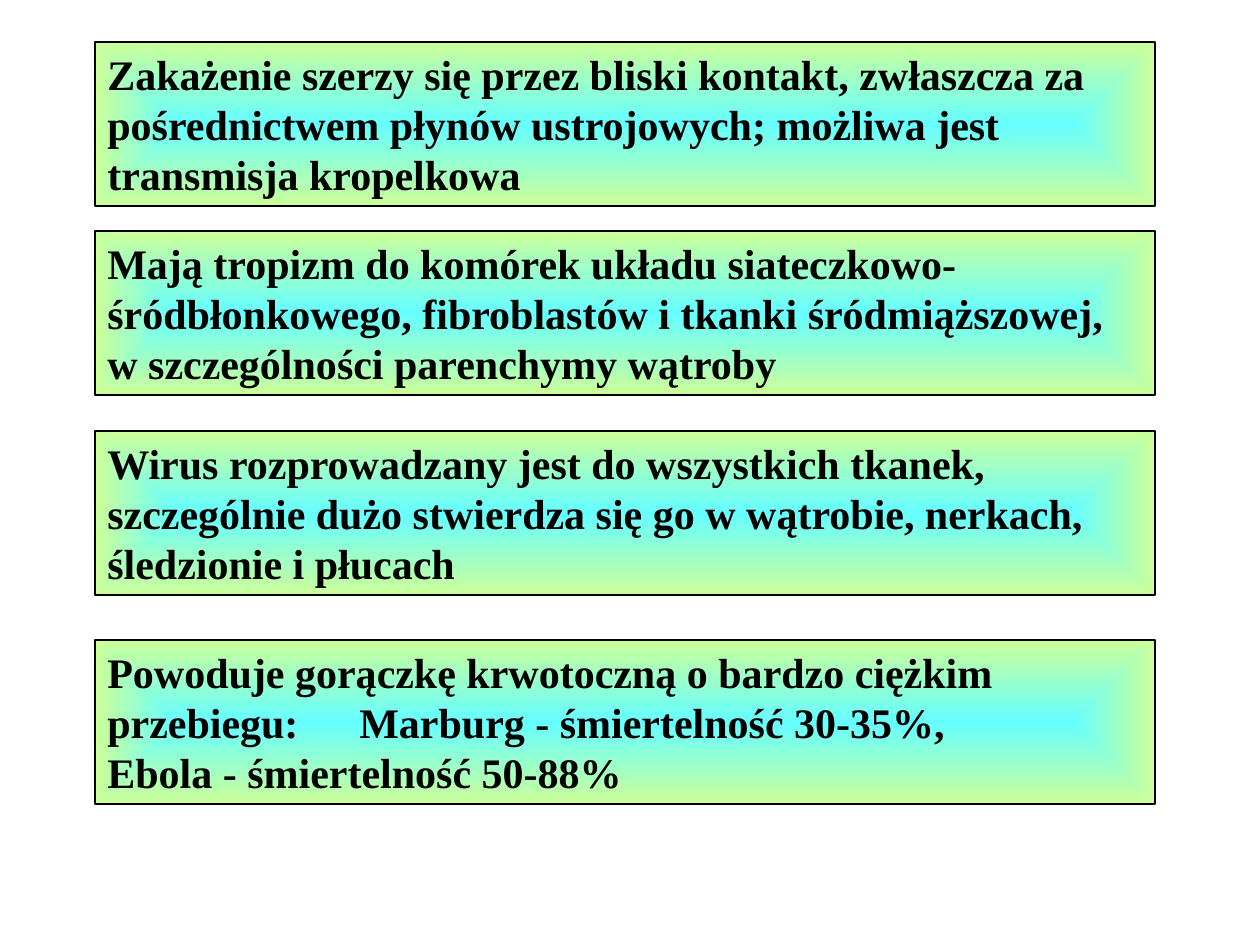
"""Build a slide of four gradient panels on how the virus spreads and acts."""
from dataclasses import dataclass

from pptx import Presentation
from pptx.dml.color import RGBColor
from pptx.enum.shapes import MSO_SHAPE
from pptx.enum.text import MSO_ANCHOR, PP_ALIGN
from pptx.oxml import parse_xml
from pptx.oxml.ns import nsdecls, qn
from pptx.shapes.autoshape import Shape
from pptx.slide import Slide
from pptx.util import Emu, Inches, Pt

PX_PER_INCH = 126


@dataclass(frozen=True)
class Theme:
    font: str = "Times New Roman"
    size: int = 24
    ink: str = "000000"
    centre: str = "66FFFF"
    edge: str = "CCFF99"
    line_width: int = 1


@dataclass(frozen=True)
class Panel:
    top: int
    text: str
    left: int = 95
    width: int = 1060
    height: int = 164


THEME = Theme()
PANELS = (
    Panel(42, "Zakażenie szerzy się przez bliski kontakt, zwłaszcza za "
              "pośrednictwem płynów ustrojowych; możliwa jest transmisja kropelkowa"),
    Panel(231, "Mają tropizm do komórek układu siateczkowo-śródbłonkowego, "
               "fibroblastów i tkanki śródmiąższowej, w szczególności parenchymy wątroby"),
    Panel(431, "Wirus rozprowadzany jest do wszystkich tkanek, szczególnie dużo "
               "stwierdza się go w wątrobie, nerkach, śledzionie i płucach"),
    Panel(640, "Powoduje gorączkę krwotoczną o bardzo ciężkim przebiegu:\t"
               "Marburg - śmiertelność 30-35%,\vEbola - śmiertelność 50-88%"),
)


def px(n: int) -> Emu:
    return Emu(round(n * Inches(1) / PX_PER_INCH))


def fill_from_centre(sp: Shape, centre: str, edge: str) -> None:
    sp.fill.gradient()
    for stop, color in zip(sp.fill.gradient_stops, (centre, edge)):
        stop.color.rgb = RGBColor.from_string(color)
    grad = sp._element.spPr.find(qn("a:gradFill"))
    grad.replace(grad.find(qn("a:lin")), parse_xml(
        f'<a:path {nsdecls("a")} path="rect">'
        '<a:fillToRect l="50000" t="50000" r="50000" b="50000"/></a:path>'))


def add_text(sp: Shape, text: str, *, font: str, size: int, color: str,
             bold: bool = False, tab_count: int = 8) -> None:
    tf = sp.text_frame
    tf.word_wrap = True
    tf.vertical_anchor = MSO_ANCHOR.TOP
    p = tf.paragraphs[0]
    p.text = text
    p.alignment = PP_ALIGN.LEFT
    stops = "".join(f'<a:tab pos="{Inches(i)}" algn="l"/>' for i in range(tab_count))
    p._p.get_or_add_pPr().append(
        parse_xml(f'<a:tabLst {nsdecls("a")}>{stops}</a:tabLst>'))
    for r in p.runs:
        r.font.name = font
        r.font.size = Pt(size)
        r.font.bold = bold
        r.font.color.rgb = RGBColor.from_string(color)


def add_panel(s: Slide, panel: Panel) -> None:
    sp = s.shapes.add_shape(MSO_SHAPE.RECTANGLE, px(panel.left), px(panel.top),
                            px(panel.width), px(panel.height))
    sp.shadow.inherit = False
    fill_from_centre(sp, THEME.centre, THEME.edge)
    sp.line.color.rgb = RGBColor.from_string(THEME.ink)
    sp.line.width = Pt(THEME.line_width)
    add_text(sp, panel.text, font=THEME.font, size=THEME.size,
             color=THEME.ink, bold=True)


def main() -> None:
    prs = Presentation()
    prs.slide_width, prs.slide_height = px(1260), px(945)
    s = prs.slides.add_slide(prs.slide_layouts[6])
    for panel in PANELS:
        add_panel(s, panel)
    prs.save("out.pptx")


if __name__ == "__main__":
    main()
